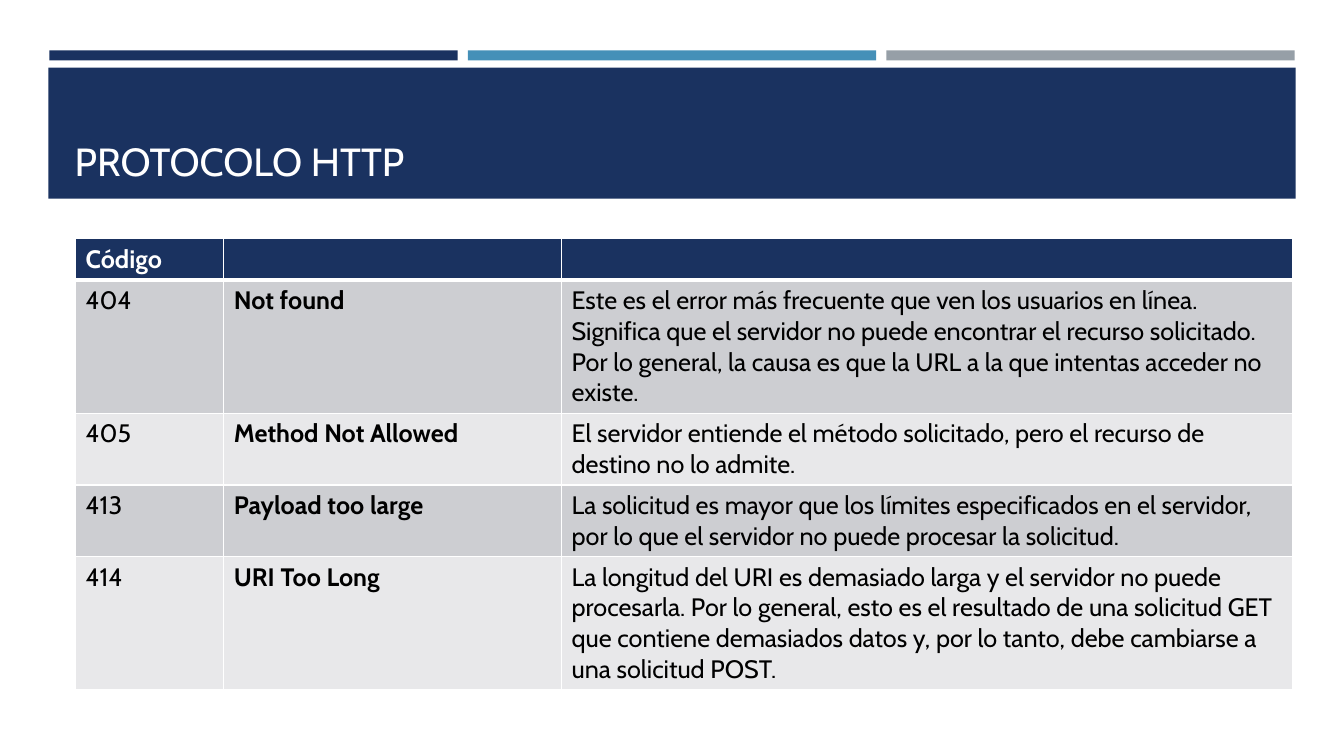
from lxml import etree
from pptx import Presentation
from pptx import util as u
from pptx.dml.color import RGBColor
from pptx.enum import shapes, text
from pptx.oxml.ns import qn

COLOURS = {
    "navy": "1A3260",
    "blue": "4590B8",
    "grey": "969FA7",
    "dark_row": "CDCED2",
    "light_row": "E8E8EA",
    "white": "FFFFFF",
    "black": "000000",
}
COLUMN_WIDTHS = [1.47, 3.35, 7.25]
ROW_HEIGHTS = [0.41, 1.32, 0.71, 0.71, 1.32]
STATUS_CODES = [
    ["Código", "", ""],
    ["404", "Not found",
     "Este es el error más frecuente que ven los usuarios en línea. Significa que el "
     "servidor no puede encontrar el recurso solicitado. Por lo general, la causa es "
     "que la URL a la que intentas acceder no existe."],
    ["405", "Method Not Allowed",
     "El servidor entiende el método solicitado, pero el recurso de destino no lo admite."],
    ["413", "Payload too large",
     "La solicitud es mayor que los límites especificados en el servidor, por lo que el "
     "servidor no puede procesar la solicitud."],
    ["414", "URI Too Long",
     "La longitud del URI es demasiado larga y el servidor no puede procesarla. Por lo "
     "general, esto es el resultado de una solicitud GET que contiene demasiados datos y, "
     "por lo tanto, debe cambiarse a una solicitud POST."],
]


class SlideBuilder:
    font = "Cabin"

    def __init__(self, deck):
        self.page = deck.slides.add_slide(deck.slide_layouts[5])

    def colour(self, name):
        return RGBColor.from_string(COLOURS[name])

    def add_words(self, frame, words, colour, **formats):
        para = frame.paragraphs[0]
        para.alignment = text.PP_ALIGN.LEFT
        span = para.add_run()
        span.text = words
        for name, value in {"name": self.font, **formats}.items():
            setattr(span.font, name, value)
        span.font.color.rgb = self.colour(colour)

    def bar(self, left, top, width, height, colour):
        box = self.page.shapes.add_shape(
            shapes.MSO_SHAPE.RECTANGLE, *map(u.Inches, (left, top, width, height)))
        box.shadow.inherit = False
        box.fill.solid()
        box.fill.fore_color.rgb = self.colour(colour)
        box.line.fill.background()

    def title(self, words, left, top, width, height):
        box = self.page.shapes.title
        places = {"left": left, "top": top, "width": width, "height": height}
        for name, value in places.items():
            setattr(box, name, u.Inches(value))
        frame_formats = {"vertical_anchor": text.MSO_ANCHOR.BOTTOM,
                         "auto_size": text.MSO_AUTO_SIZE.NONE, "word_wrap": True}
        for name, value in frame_formats.items():
            setattr(box.text_frame, name, value)
        self.add_words(box.text_frame, words, "white", size=u.Pt(28))
        # Bring the title in front of its band
        self.page.shapes._spTree.append(box._element)

    def borders(self, cell, widths):
        properties = cell._tc.get_or_add_tcPr()
        for side, width in widths.items():
            line = etree.SubElement(properties, qn(f"a:ln{side}"), w=str(u.Pt(width)))
            fill = etree.SubElement(line, qn("a:solidFill"))
            etree.SubElement(fill, qn("a:srgbClr"), val=COLOURS["white"])

    def table(self, left, top, widths, heights, rows):
        grid = self.page.shapes.add_table(
            len(rows), len(widths), *map(u.Inches, (left, top, sum(widths), sum(heights)))).table
        for column, width in zip(grid.columns, widths):
            column.width = u.Inches(width)
        for r, (row, height) in enumerate(zip(rows, heights)):
            grid.rows[r].height = u.Inches(height)
            header = r == 0
            fill = "navy" if header else ("dark_row" if r % 2 else "light_row")
            for c, words in enumerate(row):
                cell = grid.cell(r, c)
                self.borders(cell, {"L": 1, "R": 1, "T": 3 if r == 1 else 1,
                                    "B": 3 if header else 1})
                cell.fill.solid()
                cell.fill.fore_color.rgb = self.colour(fill)
                if words:
                    self.add_words(cell.text_frame, words, "white" if header else "black",
                                   size=u.Pt(18), bold=header or c == 1)


def main():
    deck = Presentation()
    deck.slide_width, deck.slide_height = u.Inches(13.33), u.Inches(7.5)
    slide = SlideBuilder(deck)

    # Three accent bars along the top
    for i, colour in enumerate(["navy", "blue", "grey"]):
        slide.bar(0.49 + 4.15 * i, 0.5, 4.05, 0.1, colour)

    # Title band
    slide.bar(0.48, 0.67, 12.37, 1.3, "navy")
    slide.title("PROTOCOLO HTTP", 0.64, 0.77, 12.06, 1.11)

    # Status code table
    slide.table(0.75, 2.37, COLUMN_WIDTHS, ROW_HEIGHTS, STATUS_CODES)

    deck.save("out.pptx")


if __name__ == "__main__":
    main()
